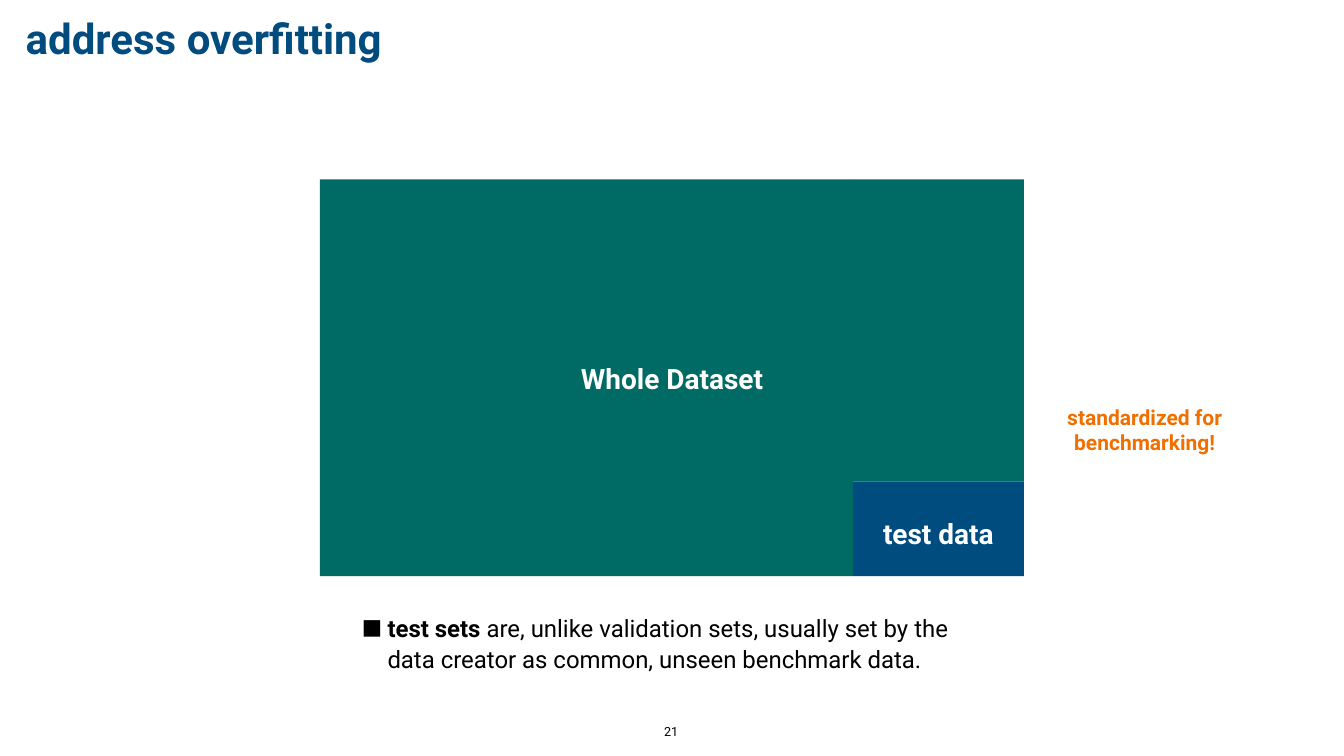
from dataclasses import dataclass
from typing import NamedTuple

from lxml import etree
from pptx import Presentation
from pptx import util as u
from pptx.dml import color
from pptx.enum import shapes, text
from pptx.oxml import ns


@dataclass(frozen=True)
class Theme:
    font: str = "Roboto"
    blue: str = "004C7F"
    green: str = "006B64"
    orange: str = "EF7001"
    white: str = "FFFFFF"
    black: str = "000000"
    title: float = 60
    label: float = 40
    body: float = 34.2
    note: float = 30
    page: float = 18


class Box(NamedTuple):
    left: float
    top: float
    width: float
    height: float

    def lengths(self) -> list:
        return [u.Inches(v) for v in self]


class Block(NamedTuple):
    box: Box
    fill: str


class Label(NamedTuple):
    words: str
    box: Box
    size: float
    tint: str
    bold: bool = True
    anchor: text.MSO_ANCHOR = text.MSO_ANCHOR.MIDDLE
    wrap: bool = True


THEME = Theme()
LEFT, SPLIT, RIGHT = 6.35, 16.93, 20.32
TOP, CUT, BASE = 3.56, 9.55, 11.43

BLOCKS = [
    Block(Box(SPLIT, CUT, RIGHT - SPLIT, BASE - CUT), THEME.blue),
    Block(Box(LEFT, TOP, SPLIT - LEFT, BASE - TOP), THEME.green),
    Block(Box(SPLIT, TOP, RIGHT - SPLIT, CUT - TOP), THEME.green),
]
LABELS = [
    Label("test data", Box(17.27, 10.19, 2.7, 0.78), THEME.label, THEME.white),
    Label("Whole Dataset", Box(11.3, 7.11, 4.07, 0.78), THEME.label, THEME.white),
    Label("standardized for benchmarking!", Box(20.96, 7.96, 3.51, 1.13),
          THEME.note, THEME.orange),
    Label("21", Box(13.12, 14.31, 0.4, 0.41), THEME.page, THEME.black,
          False, text.MSO_ANCHOR.BOTTOM, False),
]


def place(shape, box: Box) -> None:
    shape.left, shape.top, shape.width, shape.height = box.lengths()


def set_frame(frame, anchor: text.MSO_ANCHOR, wrap: bool = True) -> None:
    frame.word_wrap = wrap
    frame.auto_size = text.MSO_AUTO_SIZE.NONE
    frame.vertical_anchor = anchor
    frame.margin_left = frame.margin_right = u.Inches(0.06)
    frame.margin_top = frame.margin_bottom = u.Inches(0.06)


def add_run(para, words: str, size: float, tint: str, bold: bool) -> None:
    run = para.add_run()
    run.text = words
    font = run.font
    font.name, font.size, font.bold = THEME.font, u.Pt(size), bold
    font.color.rgb = color.RGBColor.from_string(tint)


def add_block(slide, block: Block) -> None:
    rect = slide.shapes.add_shape(shapes.MSO_SHAPE.RECTANGLE, *block.box.lengths())
    rect.shadow.inherit = False
    rect.fill.solid()
    rect.fill.fore_color.rgb = color.RGBColor.from_string(block.fill)
    rect.line.fill.background()


def add_label(slide, label: Label) -> None:
    frame = slide.shapes.add_textbox(*label.box.lengths()).text_frame
    set_frame(frame, label.anchor, label.wrap)
    para = frame.paragraphs[0]
    para.alignment = text.PP_ALIGN.CENTER
    add_run(para, label.words, label.size, label.tint, label.bold)


def add_bullet(para, tint: str) -> None:
    props = para._p.get_or_add_pPr()
    indent = u.Inches(0.51)
    props.set("marL", str(indent))
    props.set("indent", str(-indent))
    hue = etree.SubElement(props, ns.qn("a:buClr"))
    etree.SubElement(hue, ns.qn("a:srgbClr"), val=tint)
    etree.SubElement(props, ns.qn("a:buSzPct"), val="90000")
    etree.SubElement(props, ns.qn("a:buFont"), typeface=THEME.font)
    etree.SubElement(props, ns.qn("a:buChar"), char="■")


def fill_title(title) -> None:
    place(title, Box(0.45, 0.42, 7.97, 0.83))
    set_frame(title.text_frame, text.MSO_ANCHOR.MIDDLE)
    para = title.text_frame.paragraphs[0]
    para.alignment = text.PP_ALIGN.LEFT
    para.line_spacing = 0.8
    add_run(para, "address overfitting", THEME.title, THEME.blue, True)


def fill_body(body) -> None:
    place(body, Box(7.12, 12.05, 12.42, 1.46))
    set_frame(body.text_frame, text.MSO_ANCHOR.TOP)
    para = body.text_frame.paragraphs[0]
    add_bullet(para, THEME.black)
    para.line_spacing = 1.1
    para.space_before = u.Pt(0)
    add_run(para, "test sets", THEME.body, THEME.black, True)
    add_run(para, " are, unlike validation sets, usually set by the data creator"
            " as common, unseen benchmark data.", THEME.body, THEME.black, False)


def main() -> None:
    deck = Presentation()
    deck.slide_width, deck.slide_height = u.Inches(26.67), u.Inches(15)
    slide = deck.slides.add_slide(deck.slide_layouts[1])
    fill_title(slide.shapes.title)
    fill_body(slide.placeholders[1])
    for block in BLOCKS:
        add_block(slide, block)
    for label in LABELS:
        add_label(slide, label)
    deck.save("out.pptx")


if __name__ == "__main__":
    main()
